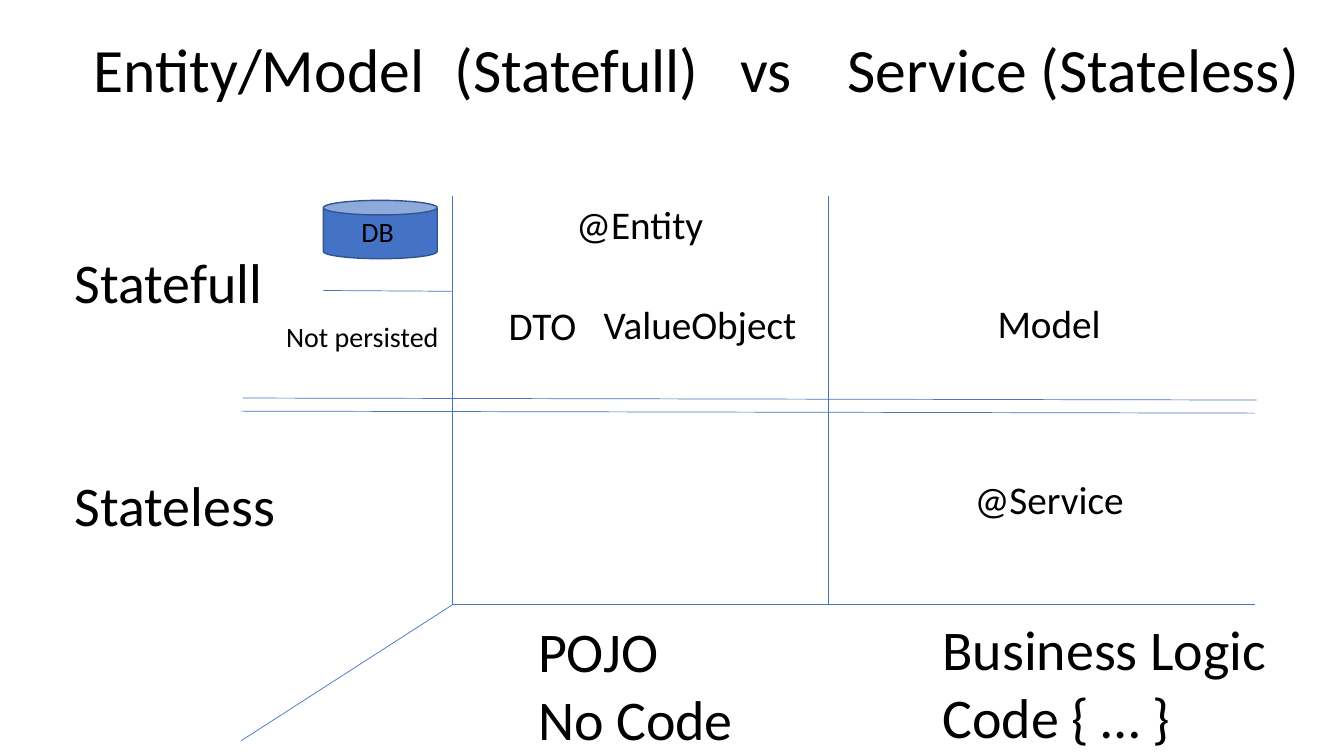
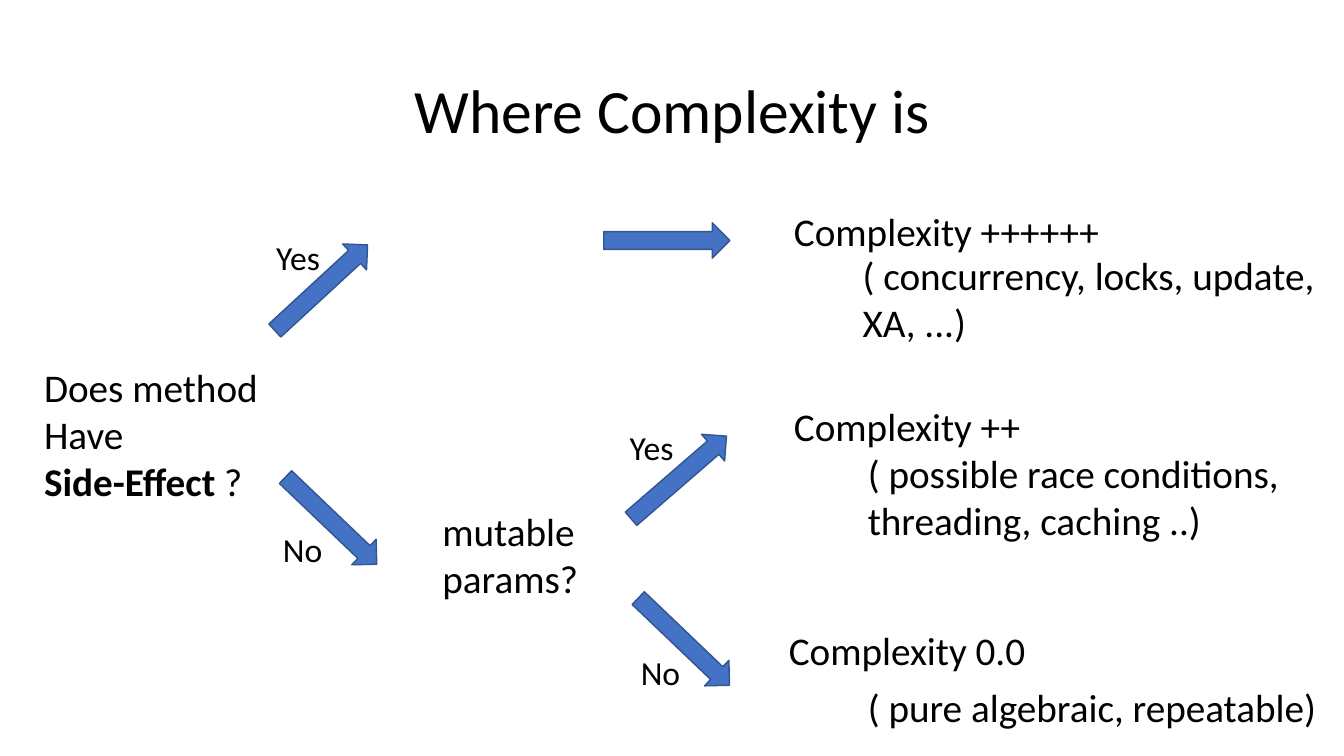
import lxml.etree
import pptx
import pptx.util
import pptx.dml.color
import pptx.enum.shapes
import pptx.enum.text
import pptx.oxml.ns

Cm = pptx.util.Cm
Pt = pptx.util.Pt
RGB = pptx.dml.color.RGBColor.from_string
SHAPE = pptx.enum.shapes.MSO_SHAPE
ALIGN = pptx.enum.text.PP_ALIGN
qn = pptx.oxml.ns.qn

FONT = "Calibri"
HUES = {"text": "000000", "blue": "4472C4", "edge": "325491"}
TITLE = 44


def label(slide, text, size, left, top, wide):
    """Add an unwrapped text box whose height follows its lines."""
    rows = text.count("\n") + 1
    high = round(rows * size * 1.22 / 72 * 2.54 + 0.25, 2)
    box = slide.shapes.add_textbox(Cm(left), Cm(top), Cm(wide), Cm(high))
    frame = box.text_frame
    frame.word_wrap = False
    frame.text = text
    for para in frame.paragraphs:
        for run in para.runs:
            run.font.name = FONT
            run.font.size = Pt(size)
            run.font.color.rgb = RGB(HUES["text"])
    return box


def solid(slide, kind, left, top, wide, high):
    shape = slide.shapes.add_shape(kind, Cm(left), Cm(top), Cm(wide), Cm(high))
    shape.shadow.inherit = False
    shape.fill.solid()
    shape.fill.fore_color.rgb = RGB(HUES["blue"])
    shape.line.color.rgb = RGB(HUES["edge"])
    shape.line.width = Pt(1)
    return shape


deck = pptx.Presentation()
deck.slide_width = Cm(33.87)
deck.slide_height = Cm(19.05)
blank = deck.slide_layouts[6]
grid = deck.slides.add_slide(blank)
tree = deck.slides.add_slide(blank)

# Titles
heads = [
    (grid, "Entity/Model\t(Statefull)\tvs\tService (Stateless)",
     2.11, 0, 31.17, ALIGN.LEFT, [9.1, 16.3, 19]),
    (tree, "Where Complexity is", 2.34, 1.02, 29.21, ALIGN.CENTER, []),
]
for slide, text, left, top, wide, align, stops in heads:
    box = label(slide, text, TITLE, left, top, wide)
    box.height = Cm(3.68)
    frame = box.text_frame
    frame.word_wrap = True
    frame.vertical_anchor = pptx.enum.text.MSO_ANCHOR.MIDDLE
    para = frame.paragraphs[0]
    para.alignment = align
    if stops:
        tabs = lxml.etree.SubElement(para._p.get_or_add_pPr(), qn("a:tabLst"))
        for stop in stops:
            lxml.etree.SubElement(tabs, qn("a:tab"), pos=str(int(Cm(stop))), algn="l")
    para.line_spacing = 0.9

# Slide 1: state against logic
solid(grid, SHAPE.CAN, 8.15, 5.05, 2.87, 1.47)

axis, base, split, end = 11.4, 15.24, 20.88, 31.62
lines = [
    (6.12, 10.03, 31.67, 10.08),
    (6.07, 10.36, end, 10.41),
    (axis, 4.95, axis, base),
    (6.07, 18.67, axis, base),
    (end, base, axis, base),
    (split, 4.93, split, base),
    (8.15, 7.32, 11.38, 7.34),
]
for ends in lines:
    line = grid.shapes.add_connector(
        pptx.enum.shapes.MSO_CONNECTOR.STRAIGHT, *[Cm(end) for end in ends])
    line.line.color.rgb = RGB(HUES["blue"])
    line.line.width = Pt(0.5)
    lxml.etree.SubElement(line._element.spPr, qn("a:effectLst"))

names = [
    ("Statefull", 40, 1.63, 6.12, 5.28),
    ("Stateless", 40, 1.63, 11.73, 5.61),
    ("POJO\nNo Code", 40, 13.31, 15.42, 5.49),
    ("Business Logic\nCode { … }", 40, 23.5, 15.37, 8.76),
    ("@Entity", 28, 14.27, 4.93, 3.76),
    ("Model", 28, 24.89, 7.42, 3.15),
    ("DTO", 28, 12.57, 7.47, 2.24),
    ("@Service", 28, 24.31, 11.86, 4.32),
    ("ValueObject", 28, 14.96, 7.44, 5.41),
    ("Not persisted", 20, 6.96, 7.92, 4.39),
    ("DB", 20, 8.86, 5.28, 1.35),
]
for name in names:
    label(grid, *name)

# Slide 2: decision tree
arrows = [
    (7.65, 5.66, 227.3),
    (7.9, 11.53, 313.7),
    (16.36, 4.47, 270),
    (16.79, 14.58, 313.7),
    (16.66, 10.44, 229.1),
]
for left, top, turn in arrows:
    solid(tree, SHAPE.DOWN_ARROW, left, top, 0.89, 3.18).rotation = turn

query = label(tree, "Does method\nHave\nSide-Effect", 28, 0.86, 9.02, 6.02)
para = query.text_frame.paragraphs[-1]
para.runs[0].font.bold = True
mark = para.add_run()
mark.text = " ?"
mark.font.name = FONT
mark.font.size = Pt(28)
mark.font.color.rgb = RGB(HUES["text"])

steps = [
    ("mutable\nparams?", 28, 10.9, 12.65, 3.96),
    ("Complexity ++++++", 28, 19.76, 5.11, 8.31),
    ("( concurrency, locks, update,\nXA, ...)", 28, 21.49, 6.2, 12.27),
    ("Complexity ++", 28, 19.76, 10.01, 6.27),
    ("( possible race conditions,\nthreading, caching ..)", 28, 21.62, 11.2, 11),
    ("Complexity 0.0", 28, 19.63, 15.65, 6.53),
    ("( pure algebraic, repeatable)", 28, 21.62, 17.09, 11.91),
    ("Yes", 24, 6.71, 5.84, 1.63),
    ("No", 24, 6.88, 13.21, 1.52),
    ("Yes", 24, 15.62, 10.64, 1.63),
    ("No", 24, 15.9, 16.31, 1.52),
]
for step in steps:
    label(tree, *step)

deck.save("out.pptx")
